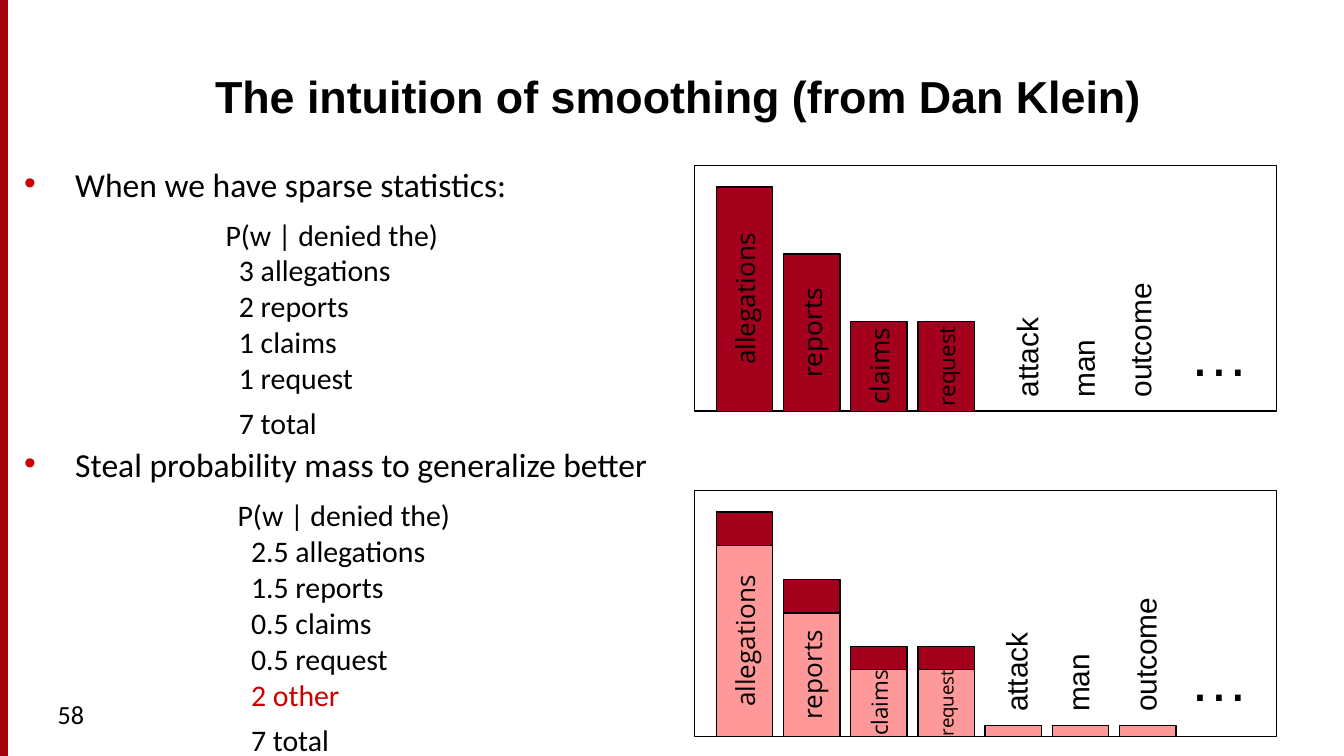
from lxml import etree
from pptx import Presentation
from pptx.dml.color import RGBColor
from pptx.enum.shapes import MSO_SHAPE
from pptx.enum.text import MSO_ANCHOR, MSO_AUTO_SIZE, PP_ALIGN
from pptx.oxml.ns import qn
from pptx.util import Inches, Pt

RECT = MSO_SHAPE.RECTANGLE
LEFT, CENTER = PP_ALIGN.LEFT, PP_ALIGN.CENTER

# Content
COLORS = {"black": "000000", "crimson": "A4001D", "stripe": "A40508",
          "pink": "FF9999", "accent": "CC0000"}
TITLE = "The intuition of smoothing (from Dan Klein)"
BULLETS = [("When we have sparse statistics:", 0),
           ("Steal probability mass to generalize better", 135)]
HEADING = "P(w | denied the)"
COUNTS = [
    (1.58, 1.56, 1.78, ["3 allegations", "2 reports", "1 claims", "1 request", "7 total"]),
    (1.67, 3.65, 2.05, ["2.5 allegations", "1.5 reports", "0.5 claims", "0.5 request",
                        "2 other", "7 total"]),
]
# Bars are (column, height, label, text size); words are (centre x, label)
OBSERVED = [(0, 1.67, "allegations", 14), (1, 1.17, "reports", 14),
            (2, 0.67, "claims", 14), (3, 0.67, "request", 12)]
SMOOTHED = [(0, 1.42, "allegations", 14), (1, 0.92, "reports", 14),
            (2, 0.5, "claims", 12), (3, 0.5, "request", 10),
            (4, 0.08, "", 10), (5, 0.08, "", 10), (6, 0.08, "", 10)]
PANELS = [
    {"top": 1.23, "layers": [("crimson", OBSERVED)], "word_y": 2.43,
     "words": [(7.64, "attack"), (8.06, "man"), (8.48, "outcome")]},
    {"top": 3.65, "word_y": 4.77,
     "layers": [("crimson", [(c, h, "", 10) for c, h, _, _ in OBSERVED]),
                ("pink", SMOOTHED)],
     "words": [(7.56, "attack"), (8.02, "man"), (8.52, "outcome")]},
]

# Layout in inches
W = 10
H = W * 9 / 16
PANEL_X, PANEL_W, PANEL_H = 5.17, 4.33, 1.83
BAR_X, BAR_W, PITCH = 5.33, 0.42, 0.5
WORD_W, WORD_H = 1.25, 0.37


def rgb(name):
    return RGBColor.from_string(COLORS[name])


def style(p, size, font="Calibri", color="black", bold=False):
    for r in p.runs:
        r.font.size, r.font.name, r.font.bold = Pt(size), font, bold
        r.font.color.rgb = rgb(color)


def place(sp, *box):
    sp.left, sp.top, sp.width, sp.height = (Inches(v) for v in box)


def add_rect(s, box, fill=None, line="black"):
    sp = s.shapes.add_shape(RECT, *(Inches(v) for v in box))
    sp.shadow.inherit = False
    if fill:
        sp.fill.solid()
        sp.fill.fore_color.rgb = rgb(fill)
    else:
        sp.fill.background()
    sp.line.color.rgb, sp.line.width = rgb(line), Pt(0.75)
    return sp


def add_text(s, box, lines, size, font="Calibri"):
    sp = s.shapes.add_textbox(*(Inches(v) for v in box))
    tf = sp.text_frame
    tf.word_wrap = True
    tf.text = "\n".join(lines)
    for p in tf.paragraphs:
        style(p, size, font)
    return sp


def turned(cx, cy, length, thickness):
    """Box that is centred on (cx, cy) once rotated a quarter turn."""
    return cx - length / 2, cy - thickness / 2, length, thickness


def add_bar(s, base, color, column, height, label, size):
    cx = BAR_X + column * PITCH + BAR_W / 2
    sp = add_rect(s, turned(cx, base - height / 2, height, BAR_W), color)
    sp.rotation = 270
    if label:
        tf = sp.text_frame
        tf.text, tf.word_wrap = label, False
        tf.vertical_anchor = MSO_ANCHOR.MIDDLE
        tf.paragraphs[0].alignment = CENTER
        style(tf.paragraphs[0], size, "Open Sans")


def set_indent(p, left, first=0.0):
    pPr = p._p.get_or_add_pPr()
    pPr.set("marL", str(Inches(left)))
    pPr.set("indent", str(Inches(first)))
    return pPr


def add_bullet(p):
    pPr = set_indent(p, 0.38, -0.38)
    clr = etree.SubElement(pPr, qn("a:buClr"))
    etree.SubElement(clr, qn("a:srgbClr"), val=COLORS["accent"])
    etree.SubElement(pPr, qn("a:buFont"), typeface="Arial")
    etree.SubElement(pPr, qn("a:buChar"), char="•")


prs = Presentation()
prs.slide_width, prs.slide_height = Inches(W), Inches(H)
s = prs.slides.add_slide(prs.slide_layouts[1])

# Edge stripe
stripe = add_rect(s, turned(0.03, H / 2, H, 0.05), "stripe", "crimson")
stripe.rotation = 90

# Title
title = s.shapes.title
place(title, 1.5, 0.15, 8.17, 0.81)
tf = title.text_frame
tf.text, tf.auto_size = TITLE, MSO_AUTO_SIZE.NONE
tf.vertical_anchor = MSO_ANCHOR.BOTTOM
tf.paragraphs[0].alignment = LEFT
style(tf.paragraphs[0], 24, "Arial", bold=True)

# Bulleted statements
body = s.placeholders[1]
place(body, 0.08, 1.25, 9, 4.42)
tf = body.text_frame
tf.text = "\n".join(text for text, _ in BULLETS)
tf.auto_size = MSO_AUTO_SIZE.NONE
for p, (_, gap) in zip(tf.paragraphs, BULLETS):
    add_bullet(p)
    p.line_spacing, p.space_before = 0.7, Pt(gap)
    style(p, 18)

# Count lists
for x, y, h, counts in COUNTS:
    sp = add_text(s, (x, y, 2.67, h), [HEADING] + counts, 16)
    rows = sp.text_frame.paragraphs[1:]
    for p in rows:
        set_indent(p, 0.1)
        if p.text.endswith("other"):
            style(p, 16, color="accent")
    rows[-1].space_before = Pt(5)

# Bar panels
for panel in PANELS:
    top = panel["top"]
    base = top + PANEL_H
    add_rect(s, (PANEL_X, top, PANEL_W, PANEL_H))
    for color, bars in panel["layers"]:
        for bar in bars:
            add_bar(s, base, color, *bar)
    for cx, word in panel["words"]:
        box = turned(cx, panel["word_y"], WORD_W, WORD_H)
        add_text(s, box, [word], 16, "Arial").rotation = 270
    add_text(s, (8.75, top + 1.08, 0.58, 0.63), ["…"], 32, "Arial")

# Page number
add_text(s, (0.33, 5.15, 2.17, 0.38), ["58"], 14)

prs.save("out.pptx")
